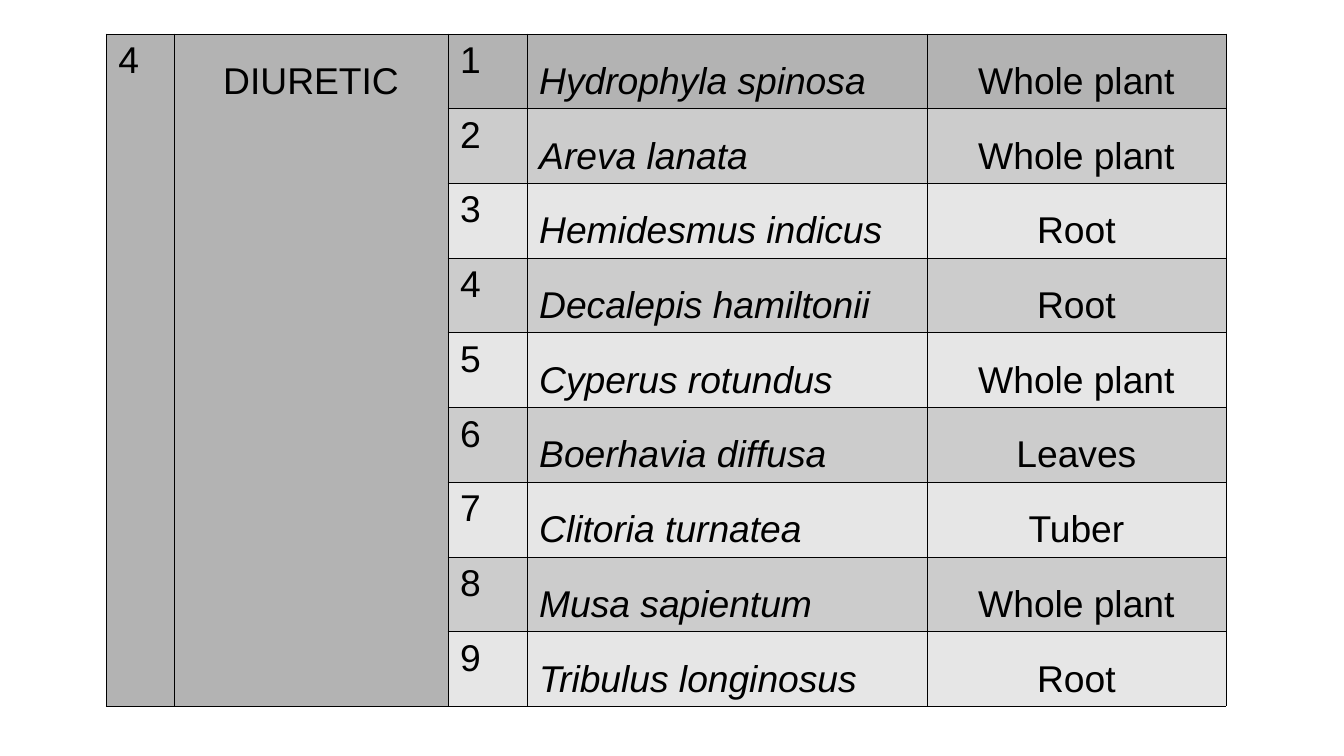
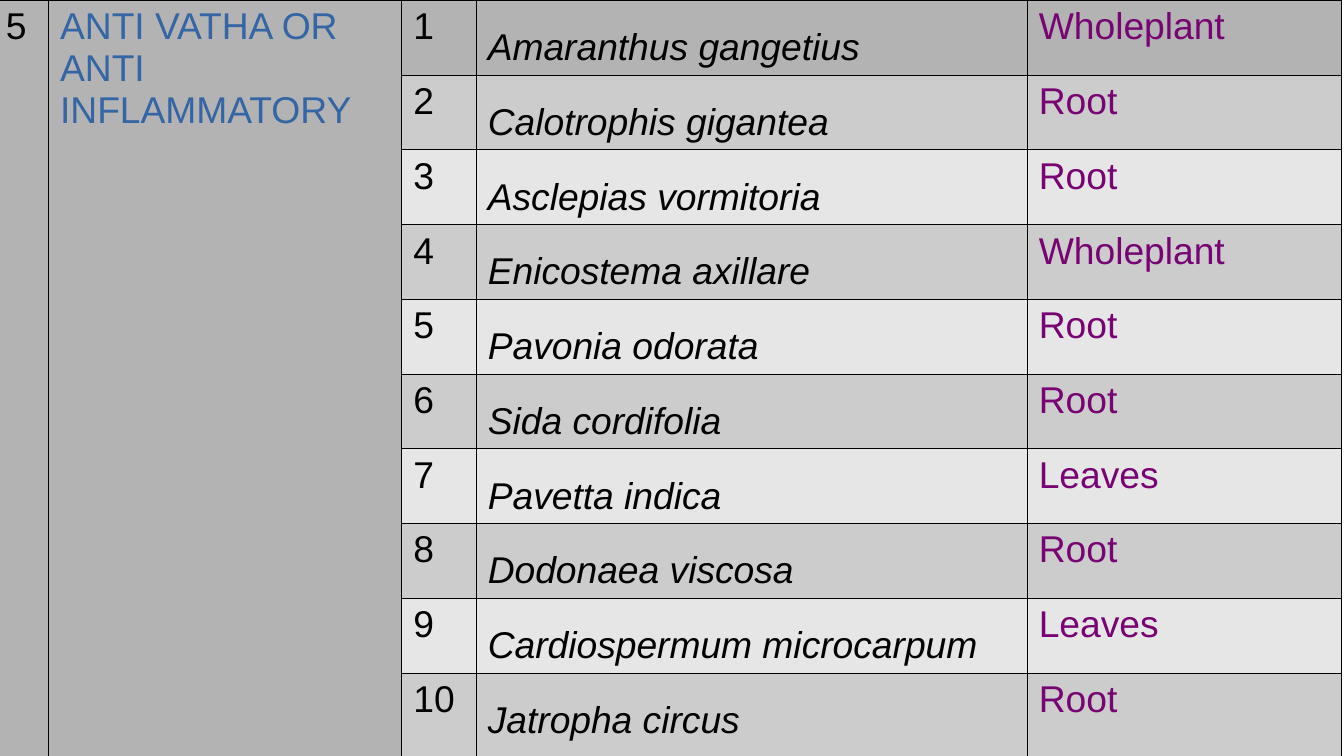
from itertools import product

from pptx import Presentation
from pptx.dml.color import RGBColor
from pptx.enum import text
from pptx.oxml import parse_xml
from pptx.oxml.ns import nsdecls
from pptx.util import Cm, Pt

# Shared look
FONT, FONT_SIZE = "Arial", 22
BLACK, BLUE, PURPLE = "000000", "3465A4", "780373"
FIRST_ROW, BANDS = "B3B3B3", ("E6E6E6", "CCCCCC")
BORDER_WIDTH = Pt(0.06)
ROW_HEIGHT = 1.55
TALL_SPACING = 1.5
GROUP, GROUP_NAME, NUMBER, SPECIES, PART = range(5)

DIURETIC_PLANTS = [
    ("Hydrophyla spinosa", "Whole plant"),
    ("Areva lanata", "Whole plant"),
    ("Hemidesmus indicus", "Root"),
    ("Decalepis hamiltonii", "Root"),
    ("Cyperus rotundus", "Whole plant"),
    ("Boerhavia diffusa", "Leaves"),
    ("Clitoria turnatea", "Tuber"),
    ("Musa sapientum", "Whole plant"),
    ("Tribulus longinosus", "Root"),
]
ANTI_INFLAMMATORY_PLANTS = [
    ("Amaranthus gangetius", "Wholeplant"),
    ("Calotrophis gigantea", "Root"),
    ("Asclepias vormitoria", "Root"),
    ("Enicostema axillare", "Wholeplant"),
    ("Pavonia odorata", "Root"),
    ("Sida cordifolia", "Root"),
    ("Pavetta indica", "Leaves"),
    ("Dodonaea viscosa", "Root"),
    ("Cardiospermum microcarpum", "Leaves"),
    ("Jatropha circus", "Root"),
]


def color(hex_string):
    return RGBColor.from_string(hex_string)


def style_cell(cell, fill):
    """Give a cell thin black borders and a plain fill."""
    properties = cell._tc.get_or_add_tcPr()
    for side in ("lnL", "lnR", "lnT", "lnB"):
        properties.append(parse_xml(
            f'<a:{side} {nsdecls("a")} w="{BORDER_WIDTH}"><a:solidFill>'
            f'<a:srgbClr val="{BLACK}"/></a:solidFill></a:{side}>'))
    cell.fill.solid()
    cell.fill.fore_color.rgb = color(fill)


def write_cell(cell, words, font_color=BLACK, italic=False, centered=False, tall=False):
    paragraph = cell.text_frame.paragraphs[0]
    paragraph.text = words
    if centered:
        paragraph.alignment = text.PP_ALIGN.CENTER
    if tall:
        paragraph.line_spacing = TALL_SPACING
    font = paragraph.runs[0].font
    font.name, font.size = FONT, Pt(FONT_SIZE)
    font.italic = italic
    font.color.rgb = color(font_color)


def add_plant_table(slide, left, top, widths, group, name, plants,
                    name_style, part_style, last_height=ROW_HEIGHT):
    """Add one group of plants: merged group cells, then a row per plant."""
    count = len(plants)
    heights = [ROW_HEIGHT] * (count - 1) + [last_height]
    table = slide.shapes.add_table(
        count, len(widths), Cm(left), Cm(top),
        Cm(sum(widths)), Cm(sum(heights))).table
    table.first_row = table.horz_banding = False
    for column, width in zip(table.columns, widths):
        column.width = Cm(width)
    for row, height in zip(table.rows, heights):
        row.height = Cm(height)

    # Fills and borders
    for row, column in product(range(count), range(len(widths))):
        dark = row == 0 or column < NUMBER
        style_cell(table.cell(row, column), FIRST_ROW if dark else BANDS[row % 2])

    # Group cells span all rows
    for column in (GROUP, GROUP_NAME):
        table.cell(0, column).merge(table.cell(count - 1, column))
    write_cell(table.cell(0, GROUP), group)
    write_cell(table.cell(0, GROUP_NAME), name, **name_style)

    # Plants
    for row, (species, part) in enumerate(plants):
        write_cell(table.cell(row, NUMBER), str(row + 1))
        write_cell(table.cell(row, SPECIES), species, italic=True, tall=True)
        write_cell(table.cell(row, PART), part, **part_style)


def main():
    presentation = Presentation()
    presentation.slide_width, presentation.slide_height = Cm(28), Cm(15.75)
    blank = presentation.slide_layouts[6]

    # Diuretic plants
    centered = {"centered": True, "tall": True}
    add_plant_table(
        presentation.slides.add_slide(blank), 2.21, 0.7,
        [1.42, 5.7, 1.65, 8.33, 6.23], "4", "DIURETIC", DIURETIC_PLANTS,
        name_style=centered, part_style=centered)

    # Anti-inflammatory plants
    add_plant_table(
        presentation.slides.add_slide(blank), -0.13, 0,
        [1.13, 7.36, 1.55, 11.48, 6.55], "5", "ANTI VATHA OR ANTI INFLAMMATORY",
        ANTI_INFLAMMATORY_PLANTS, name_style={"font_color": BLUE},
        part_style={"font_color": PURPLE}, last_height=1.93)

    presentation.save("out.pptx")


if __name__ == "__main__":
    main()
